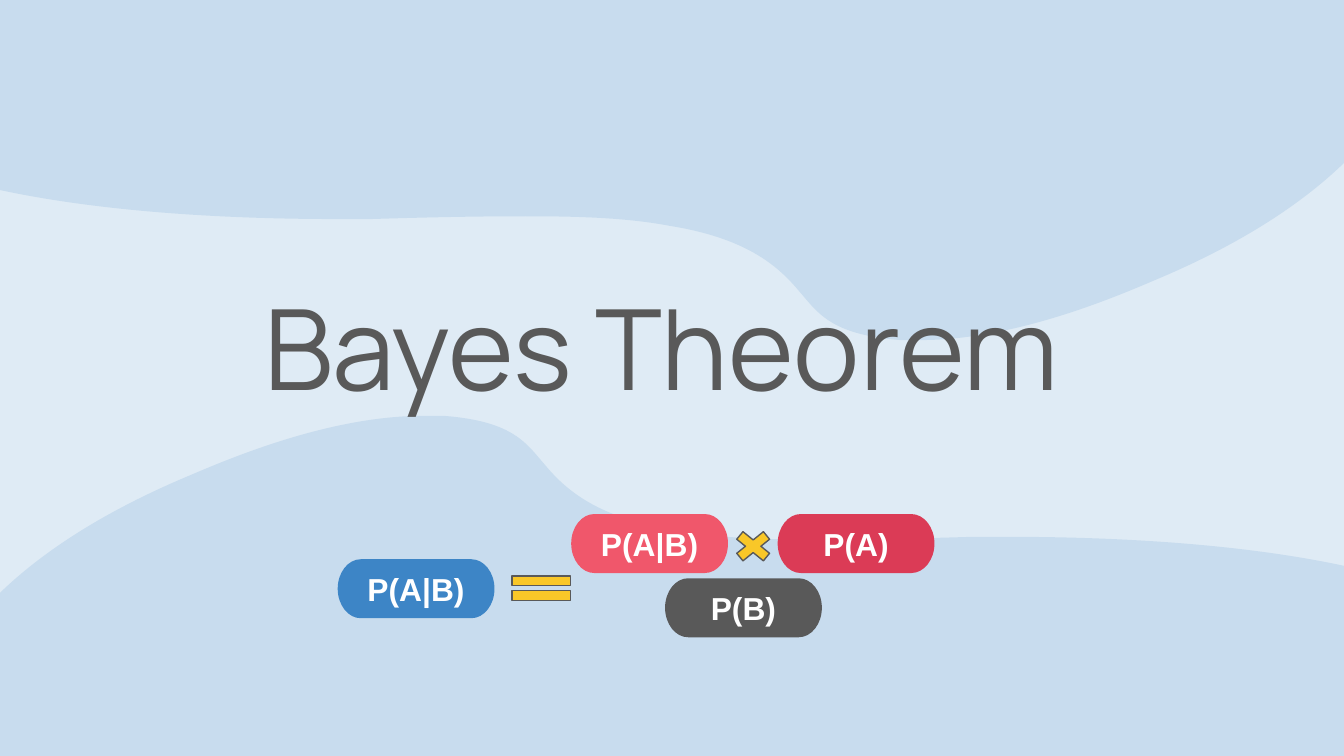
from lxml.etree import SubElement
from pptx import Presentation
from pptx.dml.color import RGBColor as RGB
from pptx.enum.shapes import MSO_SHAPE as Shape
from pptx.enum.text import MSO_ANCHOR as Anchor, MSO_AUTO_SIZE as Fit, PP_ALIGN as Align
from pptx.oxml.ns import qn
from pptx.util import Pt

SKY = RGB(0xDF, 0xEB, 0xF5)
WAVE = RGB(0xC8, 0xDC, 0xEE)
BLUE = RGB(0x3D, 0x85, 0xC6)
PINK = RGB(0xF0, 0x57, 0x6B)
RED = RGB(0xDB, 0x3B, 0x56)
GRAY = RGB(0x59, 0x59, 0x59)
GOLD = RGB(0xF9, 0xC7, 0x28)
WHITE = RGB(0xFF, 0xFF, 0xFF)

WIDE, HIGH = 720, 405
PILL_W, PILL_H = 84, 31.6

# Upper wave: one point is a line, three are a Bezier curve
START = (493.2, 182.2)
EDGE = [
    [(489.6, 182.2), (486, 182.2), (482.4, 182.2)],
    [(444.2, 179.3), (437.8, 167), (427.7, 155.5)],
    [(416.2, 141.8), (398.9, 127.4), (358.6, 121)],
    [(335.5, 116.6), (308.9, 115.9), (281.5, 115.9)],
    [(252.7, 115.9), (223.9, 116.6), (198.7, 117.4)],
    [(193, 117.4), (187.2, 117.4), (181.4, 117.4)],
    [(85.7, 117.4), (-3.6, 108), (-59.8, 83.5)],
    [(-59.8, -7.2)],
    [(767.5, -7.2)],
    [(766.1, -2.9), (765.4, 0), (765.4, 2.2)],
    [(759.6, 55.4), (716.4, 109.4), (617.8, 150.5)],
    [(592.6, 161.3), (541.4, 182.2), (493.2, 182.2)],
]


def paint(shape, fill, line=None):
    shape.shadow.inherit = False
    shape.fill.solid()
    shape.fill.fore_color.rgb = fill
    if line is None:
        shape.line.fill.background()
    else:
        shape.line.color.rgb = line
        shape.line.width = Pt(0.75)


def outline(slide, start, parts, fill):
    pen = slide.shapes.build_freeform(Pt(start[0]), Pt(start[1]))
    pen.add_line_segments([(Pt(x), Pt(y)) for part in parts for x, y in part])
    shape = pen.convert_to_shape()
    # Join each three points of a curve into one Bezier step
    route = next(shape.element.iter(qn("a:path")))
    steps = iter(route.findall(qn("a:lnTo")))
    for part in parts:
        group = [next(steps) for _ in part]
        if len(group) == 3:
            curve = SubElement(route, qn("a:cubicBezTo"))
            group[0].addprevious(curve)
            for step in group:
                curve.append(step[0])
                route.remove(step)
    paint(shape, fill)
    return shape


def write(shape, text, font, size, color, bold):
    frame = shape.text_frame
    frame.text = text
    frame.word_wrap = True
    frame.auto_size = Fit.NONE
    frame.vertical_anchor = Anchor.MIDDLE
    frame.margin_left = frame.margin_right = Pt(7.2)
    frame.margin_top = frame.margin_bottom = Pt(7.2)
    para = frame.paragraphs[0]
    para.alignment = Align.CENTER
    face = para.runs[0].font
    face.name, face.size, face.bold = font, Pt(size), bold
    face.color.rgb = color


def add_waves(slide, wide, high):
    def turn(dot):
        return wide - dot[0], high - dot[1]

    outline(slide, START, EDGE, WAVE)
    # The lower wave is the upper one turned half round
    outline(slide, turn(START), [[turn(dot) for dot in part] for part in EDGE], WAVE)


def add_title(slide, x, y, w, h):
    title = slide.shapes.title
    title.left, title.top = Pt(x), Pt(y)
    title.width, title.height = Pt(w), Pt(h)
    write(title, "Bayes Theorem ", "Manrope", 60, GRAY, False)
    # Bring the title in front of the waves
    slide.shapes.element.append(title.element)


def add_pill(slide, x, y, text, fill):
    cap = 12.4
    kx, ky = cap * 0.45, PILL_H / 2 * 0.45
    mid, end, low = y + PILL_H / 2, x + PILL_W, y + PILL_H
    parts = [
        [(x + kx, y), (x, y + ky), (x, mid)],
        [(x, low - ky), (x + kx, low), (x + cap, low)],
        [(end - cap, low)],
        [(end - kx, low), (end, low - ky), (end, mid)],
        [(end, y + ky), (end - kx, y), (end - cap, y)],
    ]
    pill = outline(slide, (x + cap, y), parts, fill)
    write(pill, text, "Arial", 17, WHITE, True)


def add_sign(slide, kind, x, y, w, h, *adjust):
    sign = slide.shapes.add_shape(kind, Pt(x), Pt(y), Pt(w), Pt(h))
    for i, value in enumerate(adjust):
        sign.adjustments[i] = value
    paint(sign, GOLD, GRAY)


def add_formula(slide, x, y, w, h):
    last = x + w - PILL_W
    first = last - 110.6
    # Left side, numerator and denominator
    add_pill(slide, x, y + 24.2, "P(A|B)", BLUE)
    add_pill(slide, first, y, "P(A|B)", PINK)
    add_pill(slide, (first + last) / 2 - 5, y + h - PILL_H, "P(B)", GRAY)
    add_pill(slide, last, y, "P(A)", RED)
    # Operators
    add_sign(slide, Shape.MATH_EQUAL, x + 87.7, y + 28.6, 42.5, 22.3, 0.235, 0.118)
    add_sign(slide, Shape.MATH_MULTIPLY, first + PILL_W - 0.2, y + 6.1, 27.4, 22.3, 0.235)


def main():
    deck = Presentation()
    deck.slide_width, deck.slide_height = Pt(WIDE), Pt(HIGH)
    slide = deck.slides.add_slide(deck.slide_layouts[5])
    back = slide.background.fill
    back.solid()
    back.fore_color.rgb = SKY
    add_waves(slide, WIDE, HIGH)
    add_title(slide, 117.6, 95, 485.3, 180.7)
    add_formula(slide, 180.9, 275.4, 319.7, 66)
    deck.save("out.pptx")


if __name__ == "__main__":
    main()
